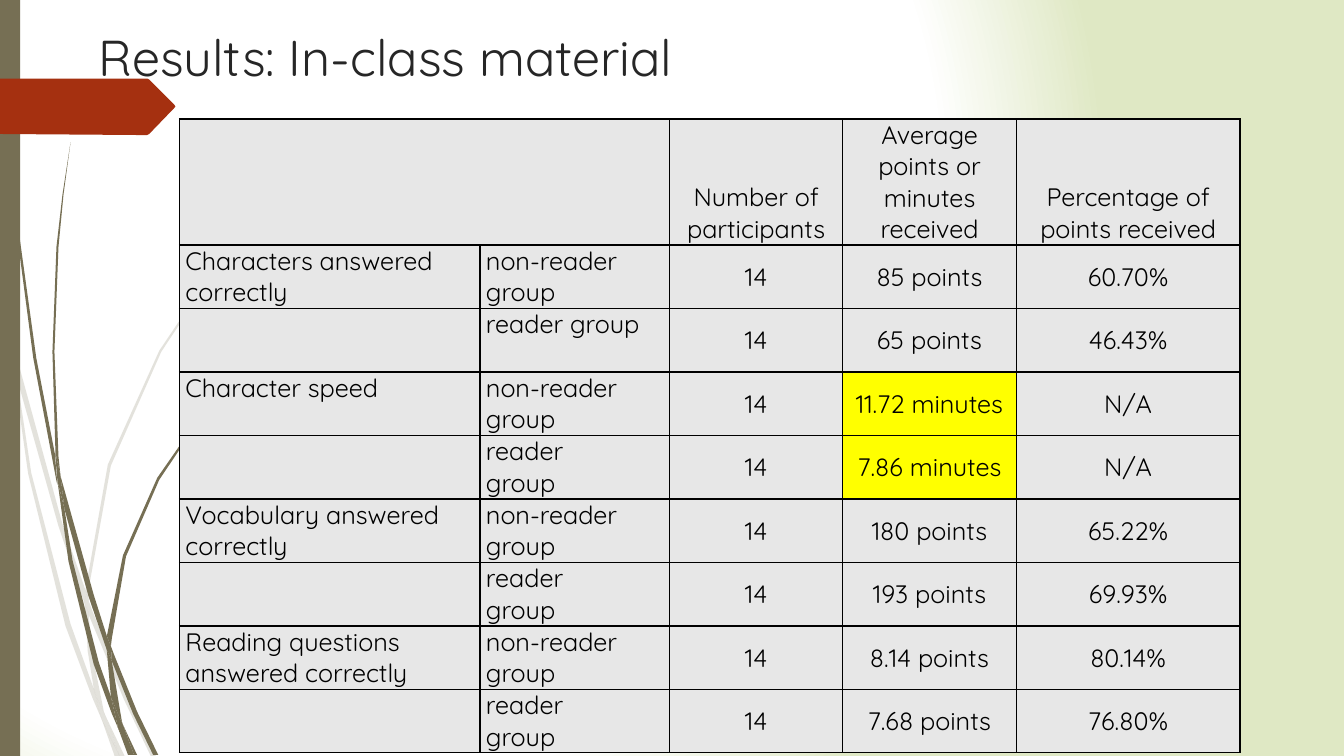
from lxml import etree
from pptx import Presentation
from pptx import util as u
from pptx.dml.color import RGBColor
from pptx.enum import shapes, text
from pptx.oxml import parse_xml
from pptx.oxml.ns import nsdecls, qn

OLIVE = RGBColor(0x76, 0x6F, 0x54)
RUST = RGBColor(0xA5, 0x30, 0x10)
INK = RGBColor(0x26, 0x26, 0x26)
BLACK = RGBColor(0, 0, 0)
GREY = RGBColor(0xE7, 0xE7, 0xE7)
YELLOW = RGBColor(0xFF, 0xFF, 0)
WHITE = RGBColor(0xFF, 0xFF, 0xFF)
PALE_GREEN = RGBColor(0xDF, 0xE8, 0xC4)

PALE_GRASS = [
    [(0.11, 3.5), (0.09, 3.22), (0, 2.82), (0, 2.99), (0.1, 3.44)],
    [(0.58, 5.22), (0.84, 5.99), (0.85, 5.86), (0.62, 5.2), (0.14, 3.45), (0.17, 3.76)],
    [(0.92, 6.07), (0.88, 5.96), (0.88, 6.1), (1.23, 6.94), (1.5, 7.51), (1.55, 7.51),
     (1.27, 6.92)],
    [(1.19, 7.51), (1.24, 7.51), (1.05, 7.11)],
    [(0.93, 6.83), (0.7, 6.19), (0.31, 4.69), (0.17, 3.76), (0.11, 3.5), (0.28, 4.7),
     (0.65, 6.21), (0.92, 6.93), (1.01, 7.14), (0.99, 7.07)],
    [(0.84, 5.99), (0.87, 6.46), (0.93, 6.83), (0.96, 6.92), (1.05, 7.11), (1.03, 7.06),
     (0.91, 6.46), (0.88, 6.1), (0.88, 6.08)],
    [(0.88, 5.84), (1.1, 4.62), (1.6, 3.49), (2.29, 2.45), (2.68, 1.98), (2.9, 1.75),
     (3.12, 1.54), (3.12, 1.53), (2.89, 1.75), (2.68, 1.97), (2.28, 2.44), (1.58, 3.48),
     (1.07, 4.61), (0.85, 5.84), (0.85, 5.86), (0.88, 5.96)],
    [(1.01, 7.14), (1.14, 7.51), (1.19, 7.51)],
    [(0.88, 6.08), (0.88, 6.1), (0.88, 5.96), (0.85, 5.86), (0.84, 5.99)],
    [(0.96, 6.92), (0.93, 6.83), (0.99, 7.07), (1.01, 7.14), (1.19, 7.51), (1.05, 7.11)],
]
DARK_GRASS = [
    [(0.07, 1.1), (0.17, 2.33), (0.33, 3.55), (0.56, 4.77), (0.57, 4.81), (0.55, 4.57),
     (0.55, 4.53), (0.36, 3.55), (0.19, 2.32), (0.08, 1.09), (0.05, 0.48), (0.04, 0),
     (0.03, 0), (0.04, 0.48)],
    [(0.88, 5.92), (1.06, 6.45), (1.06, 6.31), (0.93, 5.9), (0.6, 4.72), (0.64, 5.05)],
    [(1.13, 6.49), (1.1, 6.41), (1.11, 6.56), (1.32, 7.08), (1.52, 7.49), (1.57, 7.49),
     (1.36, 7.06)],
    [(1.1, 6.91), (0.98, 6.57), (0.72, 5.56), (0.64, 5.05), (0.57, 4.77), (0.68, 5.57),
     (0.93, 6.59), (1.11, 7.08), (1.17, 7.22), (1.16, 7.17)],
    [(0.6, 4.72), (0.58, 4.53), (0.54, 3.49), (0.58, 2.45), (0.63, 1.93), (0.7, 1.41),
     (0.62, 1.93), (0.56, 2.45), (0.52, 3.49), (0.55, 4.49)],
    [(1.33, 7.49), (1.36, 7.49), (1.22, 7.19)],
    [(0.57, 4.77), (0.64, 5.05), (0.6, 4.72), (0.55, 4.49), (0.55, 4.53)],
    [(1.11, 6.33), (1.25, 5.52), (1.58, 4.76), (2.05, 4.06), (2.31, 3.74), (2.45, 3.59),
     (2.61, 3.44), (2.6, 3.44), (2.45, 3.58), (2.31, 3.73), (2.04, 4.05), (1.56, 4.74),
     (1.22, 5.51), (1.06, 6.31), (1.1, 6.41)],
    [(1.17, 7.22), (1.27, 7.49), (1.31, 7.49)],
    [(1.06, 6.45), (1.1, 6.91), (1.16, 7.06), (1.22, 7.19), (1.21, 7.16), (1.11, 6.56),
     (1.09, 6.51)],
    [(1.06, 6.45), (1.09, 6.51), (1.11, 6.56), (1.1, 6.41), (1.06, 6.31)],
    [(1.16, 7.06), (1.1, 6.91), (1.16, 7.17), (1.17, 7.22), (1.3, 7.49), (1.33, 7.49),
     (1.22, 7.19)],
]
ARROW = [(1.74, 1.06), (1.48, 1.33), (1.46, 1.34), (1.36, 1.34), (0, 1.33), (0, 0.78),
         (1.46, 0.78), (1.48, 0.79), (1.73, 1.04)]

COLUMNS = [2.98, 1.88, 1.72, 1.72, 2.22]
ROWS = [1.25] + [0.63] * 8
RESULTS = [
    ["", "", "Number of participants", "Average points or minutes received",
     "Percentage of points received"],
    ["Characters answered correctly", "non-reader group", "14", "85 points", "60.70%"],
    ["", "reader group", "14", "65 points", "46.43%"],
    ["Character speed", "non-reader\ngroup", "14", "11.72 minutes", "N/A"],
    ["", "reader\ngroup", "14", "7.86 minutes", "N/A"],
    ["Vocabulary answered correctly", "non-reader\ngroup", "14", "180 points", "65.22%"],
    ["", "reader\ngroup", "14", "193 points", "69.93%"],
    ["Reading questions answered correctly", "non-reader\ngroup", "14", "8.14 points", "80.14%"],
    ["", "reader\ngroup", "14", "7.68 points", "76.80%"],
]


class Deck:
    """Hold the style and the current slide, and draw each kind of element."""

    font = "Quicksand"

    def __init__(self, prs):
        self.s = prs.slides.add_slide(prs.slide_layouts[6])

    def style(self, obj, **values):
        for name, value in values.items():
            setattr(obj, name, value)

    def background(self, inner, outer):
        self.s.element.cSld.insert(0, parse_xml(
            f'<p:bg {nsdecls("p", "a")}><p:bgPr><a:gradFill rotWithShape="1"><a:gsLst>'
            f'<a:gs pos="0"><a:srgbClr val="{inner}"/></a:gs>'
            f'<a:gs pos="78000"><a:srgbClr val="{inner}"/></a:gs>'
            f'<a:gs pos="100000"><a:srgbClr val="{outer}"/></a:gs></a:gsLst>'
            '<a:path path="circle"><a:fillToRect l="50000" t="50000" r="100000" b="100000"/>'
            '</a:path></a:gradFill><a:effectLst/></p:bgPr></p:bg>'))

    def paint(self, sp, color, alpha=100):
        sp.shadow.inherit = False
        sp.fill.solid()
        sp.fill.fore_color.rgb = color
        sp.line.fill.background()
        if alpha < 100:
            clr = sp.element.spPr.find(f"{qn('a:solidFill')}/{qn('a:srgbClr')}")
            etree.SubElement(clr, qn("a:alpha"), val=str(alpha * 1000))

    def outline(self, points, color, alpha=100, parent=None):
        (x, y), *rest = [(u.Inches(a), u.Inches(b)) for a, b in points]
        builder = (parent or self.s).shapes.build_freeform(x, y)
        builder.add_line_segments(rest, close=True)
        self.paint(builder.convert_to_shape(), color, alpha)

    def grass(self, blades, color, alpha=100):
        group = self.s.shapes.add_group_shape()
        for points in blades:
            self.outline(points, color, alpha, group)

    def bar(self, box, color):
        sp = self.s.shapes.add_shape(shapes.MSO_SHAPE.RECTANGLE, *map(u.Inches, box))
        self.paint(sp, color)

    def fill_text(self, tf, words, size, color, align):
        tf.text = words
        for p in tf.paragraphs:
            p.alignment = align
            for item in (p, *p.runs):
                self.style(item.font, name=self.font, size=u.Pt(size))
                item.font.color.rgb = color

    def title(self, words, box):
        tf = self.s.shapes.add_textbox(*map(u.Inches, box)).text_frame
        tf.word_wrap = True
        self.fill_text(tf, words, 36, INK, text.PP_ALIGN.LEFT)

    def cell(self, cell, words, centred, anchor, fill):
        self.style(cell, margin_left=u.Inches(0.06), margin_right=u.Inches(0.06),
                   margin_top=0, margin_bottom=0, vertical_anchor=anchor)
        align = text.PP_ALIGN.CENTER if centred else text.PP_ALIGN.LEFT
        self.fill_text(cell.text_frame, words, 18, BLACK, align)
        for side in "LRTB":
            cell._tc.get_or_add_tcPr().append(parse_xml(
                f'<a:ln{side} {nsdecls("a")} w="12700"><a:solidFill>'
                f'<a:srgbClr val="{BLACK}"/></a:solidFill></a:ln{side}>'))
        cell.fill.solid()
        cell.fill.fore_color.rgb = fill

    def table(self, rows, left, top):
        size = map(u.Inches, (left, top, sum(COLUMNS), sum(ROWS)))
        table = self.s.shapes.add_table(len(ROWS), len(COLUMNS), *size).table
        self.style(table, first_row=False, horz_banding=False)
        for column, width in zip(table.columns, COLUMNS):
            column.width = u.Inches(width)
        for row, height in zip(table.rows, ROWS):
            row.height = u.Inches(height)
        table.cell(0, 0).merge(table.cell(0, 1))
        for i, row in enumerate(rows):
            for j, words in enumerate(row):
                anchor = (text.MSO_ANCHOR.TOP if j < 2 else
                          text.MSO_ANCHOR.MIDDLE if i else text.MSO_ANCHOR.BOTTOM)
                fill = YELLOW if words.endswith(" minutes") else GREY
                self.cell(table.cell(i, j), words, j > 1, anchor, fill)


def main():
    prs = Presentation()
    prs.slide_width, prs.slide_height = u.Inches(13.33), u.Inches(7.5)
    deck = Deck(prs)
    deck.background(WHITE, PALE_GREEN)
    deck.grass(PALE_GRASS, OLIVE, 20)
    deck.grass(DARK_GRASS, OLIVE)
    deck.bar((0, 0, 0.2, 7.5), OLIVE)
    deck.outline(ARROW, RUST)
    deck.title("Results: In-class material", (0.88, 0.21, 11.5, 1.45))
    deck.table(RESULTS, 1.78, 1.18)
    prs.save("out.pptx")


if __name__ == "__main__":
    main()
